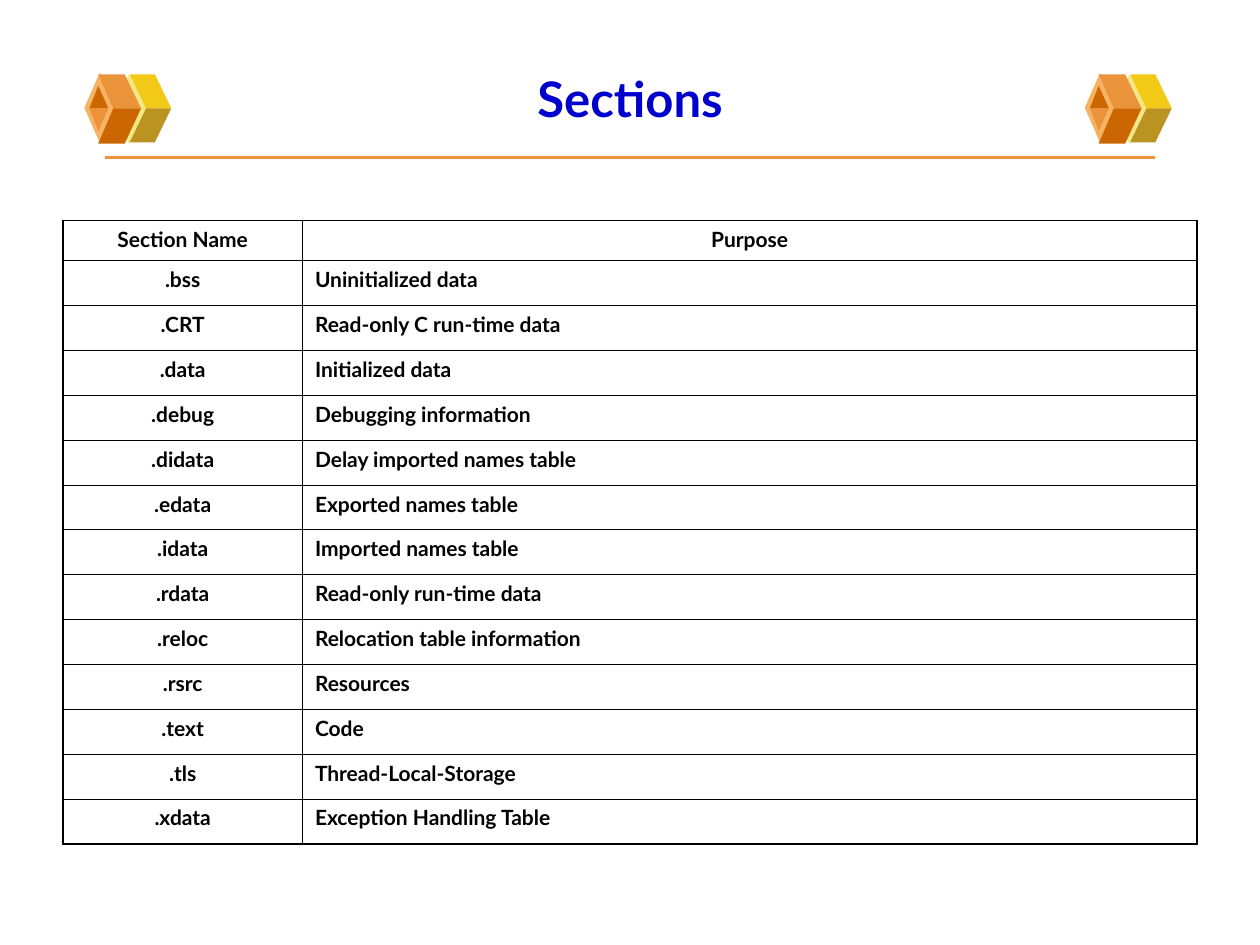
from lxml import etree
from pptx import Presentation
from pptx.dml.color import RGBColor
from pptx.enum.shapes import MSO_CONNECTOR, MSO_SHAPE
from pptx.enum.text import MSO_ANCHOR, PP_ALIGN
from pptx.oxml.ns import qn
from pptx.util import Inches, Pt

LEFT, CENTER = PP_ALIGN.LEFT, PP_ALIGN.CENTER
MIDDLE = MSO_ANCHOR.MIDDLE
STRAIGHT = MSO_CONNECTOR.STRAIGHT
DIAMOND = MSO_SHAPE.DIAMOND

BLACK = RGBColor(0x00, 0x00, 0x00)
BLUE = RGBColor(0x00, 0x00, 0xCC)
ORANGE = RGBColor(0xEB, 0x93, 0x3B)
DARK_ORANGE = RGBColor(0xCC, 0x66, 0x00)
LIGHT_ORANGE = RGBColor(0xF5, 0xB3, 0x63)
YELLOW = RGBColor(0xF3, 0xC9, 0x17)
PALE_YELLOW = RGBColor(0xF1, 0xE7, 0x85)
OLIVE = RGBColor(0xBB, 0x93, 0x21)

OUTER, INNER = 1.08, 0.45  # border widths in points


def write(frame, text, size=12, color=BLACK, align=LEFT):
    paragraph = frame.paragraphs[0]
    paragraph.alignment = align
    run = paragraph.add_run()
    run.text = text
    run.font.name = "Lato"
    run.font.size = Pt(size)
    run.font.bold = True
    run.font.color.rgb = color


def set_border(cell, side, width):
    line = etree.SubElement(cell._tc.get_or_add_tcPr(), qn(f"a:{side}"), w=str(Pt(width)))
    fill = etree.SubElement(line, qn("a:solidFill"))
    etree.SubElement(fill, qn("a:srgbClr"), val=str(BLACK))


prs = Presentation()
prs.slide_width, prs.slide_height = Inches(10), Inches(7.5)
slide = prs.slides.add_slide(prs.slide_layouts[6])

# Rule under the title
rule = slide.shapes.add_connector(STRAIGHT, Inches(0.83), Inches(1.25), Inches(9.17), Inches(1.25))
rule.line.color.rgb = ORANGE
rule.line.width = Pt(2.25)
etree.SubElement(rule._element.spPr, qn("a:effectLst"))

# Block ornaments on both sides: diamonds are boxes, facets are corner points
ornament_parts = [
    (PALE_YELLOW, (0.86, 0.59, 0.33, 0.55)),
    (YELLOW, [(1.16, 0.86), (1.36, 0.86), (1.23, 0.59), (1.03, 0.59)]),
    (OLIVE, [(1.16, 0.86), (1.36, 0.86), (1.23, 1.13), (1.03, 1.13)]),
    (LIGHT_ORANGE, (0.67, 0.58, 0.24, 0.55)),
    (ORANGE, [(0.9, 0.86), (1.12, 0.86), (0.99, 0.59), (0.78, 0.59)]),
    (DARK_ORANGE, [(0.9, 0.86), (1.12, 0.86), (0.99, 1.14), (0.78, 1.14)]),
    (DARK_ORANGE, [(0.78, 0.68), (0.71, 0.86), (0.86, 0.86)]),
    (ORANGE, [(0.78, 1.04), (0.71, 0.86), (0.86, 0.86)]),
]
for shift in (0, 7.94):
    for color, geometry in ornament_parts:
        if isinstance(geometry, tuple):
            left, top, width, height = geometry
            part = slide.shapes.add_shape(
                DIAMOND, Inches(left + shift), Inches(top), Inches(width), Inches(height))
        else:
            corners = [(Inches(x + shift), Inches(y)) for x, y in geometry]
            outline = slide.shapes.build_freeform(*corners[0])
            outline.add_line_segments(corners[1:], close=True)
            part = outline.convert_to_shape()
        part.shadow.inherit = False
        part.fill.solid()
        part.fill.fore_color.rgb = color
        part.line.fill.background()

# Title
title = slide.shapes.add_textbox(Inches(0.5), Inches(0.3), Inches(9), Inches(0.95)).text_frame
title.word_wrap = True
title.vertical_anchor = MIDDLE
write(title, "Sections", size=28, color=BLUE, align=CENTER)

# Table of sections
sections = [
    ("Section Name", "Purpose"),
    (".bss", "Uninitialized data"),
    (".CRT", "Read-only C run-time data"),
    (".data", "Initialized data"),
    (".debug", "Debugging information"),
    (".didata", "Delay imported names table"),
    (".edata", "Exported names table"),
    (".idata", "Imported names table"),
    (".rdata", "Read-only run-time data"),
    (".reloc", "Relocation table information"),
    (".rsrc", "Resources"),
    (".text", "Code"),
    (".tls", "Thread-Local-Storage"),
    (".xdata", "Exception Handling Table"),
]
last = len(sections) - 1
table_height, header_height = 4.95, 0.32
table = slide.shapes.add_table(
    len(sections), 2, Inches(0.5), Inches(1.75), Inches(9), Inches(table_height)).table
table.columns[0].width, table.columns[1].width = Inches(1.9), Inches(7.1)

for r, entry in enumerate(sections):
    table.rows[r].height = Inches((table_height - header_height) / last if r else header_height)
    for c, text in enumerate(entry):
        cell = table.cell(r, c)
        write(cell.text_frame, text, align=CENTER if r == 0 or c == 0 else LEFT)
        on_edge = {"lnL": c == 0, "lnR": c == 1, "lnT": r == 0, "lnB": r == last}
        for side, is_outer in on_edge.items():
            set_border(cell, side, OUTER if is_outer else INNER)
        cell.fill.background()

prs.save("out.pptx")
